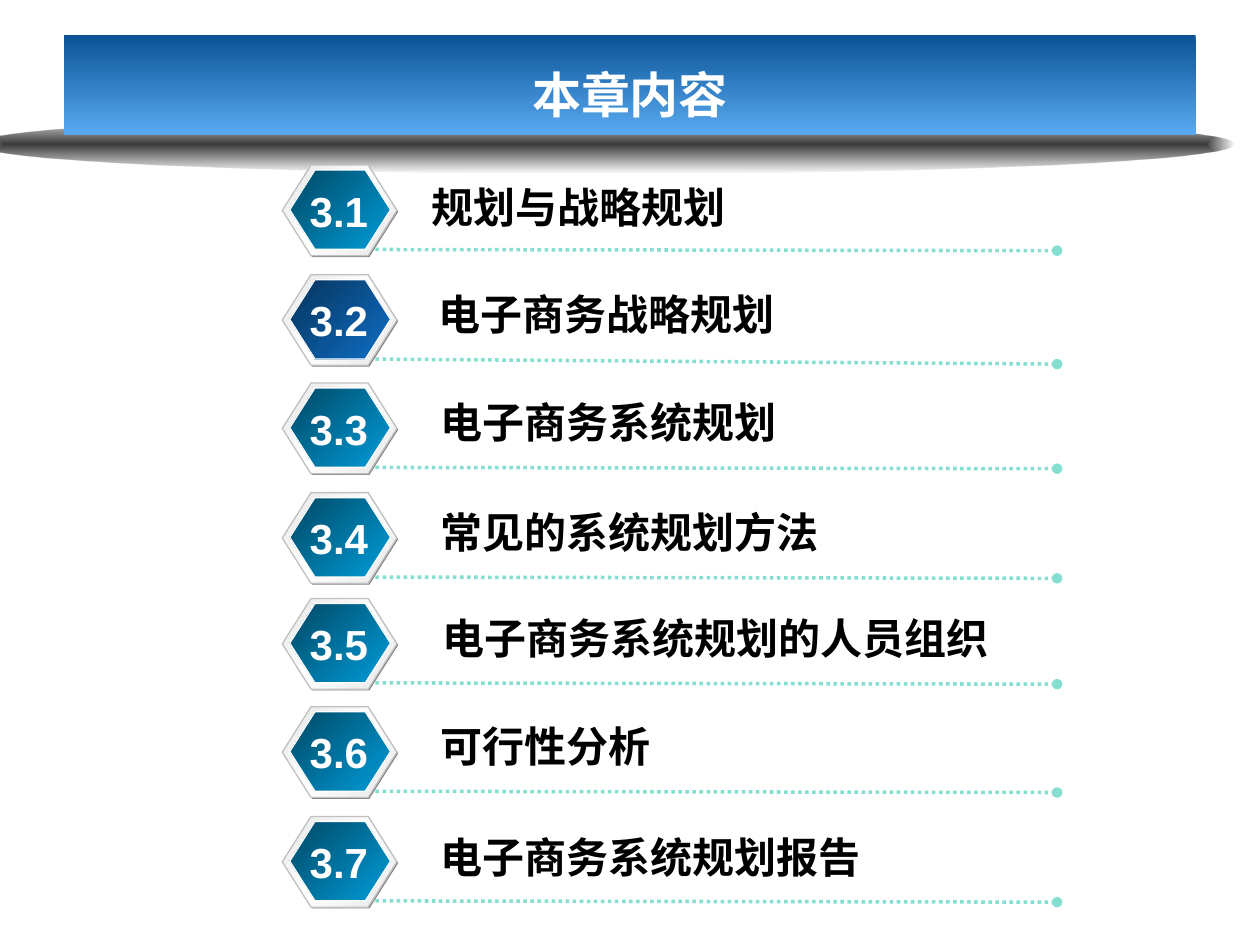
from lxml import etree
from pptx import Presentation
from pptx import util as u
from pptx.dml import color
from pptx.enum import shapes, text
from pptx.oxml import ns

Inches = u.Inches

COLOURS = {
    "white": "FFFFFF", "black": "000000", "shade": "808080",
    "rim": "C0C0C0", "rim_fill": "E6E6E6", "rule": "85DFD0",
    "banner_dark": "0B5395", "banner_light": "59AAF2",
    "teal": "009DD9", "teal_dark": "004864",
    "blue": "0F6FC6", "blue_dark": "06335B",
}
TEAL = [(0, "teal"), (100, "teal_dark")]
BLUE = [(0, "blue"), (100, "blue_dark")]
RIM = [(0, "rim_fill"), (50, "white"), (100, "rim_fill")]

# number, title, top, title left, title drop, rule slope, badge gradient
SECTIONS = [
    ("3.1", "规划与战略规划", 1.31, 3.33, 0.08, 0.01, TEAL),
    ("3.2", "电子商务战略规划", 2.18, 3.38, 0.06, 0.04, BLUE),
    ("3.3", "电子商务系统规划", 3.04, 3.4, 0.06, 0.01, TEAL),
    ("3.4", "常见的系统规划方法", 3.91, 3.4, 0.06, 0.01, TEAL),
    ("3.5", "电子商务系统规划的人员组织", 4.75, 3.41, 0.06, 0.01, TEAL),
    ("3.6", "可行性分析", 5.61, 3.4, 0.06, 0.01, TEAL),
    ("3.7", "电子商务系统规划报告", 6.48, 3.4, 0.07, 0.01, TEAL),
]


def rgb(name):
    return color.RGBColor.from_string(COLOURS[name])


def add_element(parent, tag, **attributes):
    child = etree.SubElement(parent, ns.qn(tag))
    for key, value in attributes.items():
        child.set(key, str(value))
    return child


def fill_gradient(shape, stops, angle=None):
    """Stops are (percent, colour[, opacity]); no angle means from the centre out."""
    shape.fill.background()
    empty = shape._element.spPr.find(ns.qn("a:noFill"))
    gradient = etree.Element(ns.qn("a:gradFill"), rotWithShape="1")
    stop_list = add_element(gradient, "a:gsLst")
    for position, name, *opacity in stops:
        stop = add_element(stop_list, "a:gs", pos=position * 1000)
        tint = add_element(stop, "a:srgbClr", val=COLOURS[name])
        for percent in opacity:
            add_element(tint, "a:alpha", val=percent * 1000)
    if angle is None:
        centre = add_element(gradient, "a:path", path="rect")
        add_element(centre, "a:fillToRect", l=50000, t=50000, r=50000, b=50000)
    else:
        add_element(gradient, "a:lin", ang=angle * 60000, scaled=1)
    empty.getparent().replace(empty, gradient)


def add_shape(page, kind, left, top, width, height, line=None):
    shape = page.shapes.add_shape(
        kind, Inches(left), Inches(top), Inches(width), Inches(height))
    shape.shadow.inherit = False
    if line:
        shape.line.color.rgb = rgb(line)
        shape.line.width = u.Pt(0.75)
    else:
        shape.line.fill.background()
    return shape


def add_hexagon(page, left, top, width, height, line=None):
    hexagon = add_shape(page, shapes.MSO_SHAPE.HEXAGON, left, top, width, height, line)
    hexagon.adjustments[0] = 0.317
    return hexagon


def write(frame, words, size, font, name, align):
    para = frame.paragraphs[0]
    para.text = words
    para.alignment = align
    para.font.size = u.Pt(size)
    para.font.name = font
    para.font.bold = True
    para.font.color.rgb = rgb(name)
    return para


def add_label(page, words, left, top, width, name, align):
    box = page.shapes.add_textbox(Inches(left), Inches(top), Inches(width), Inches(0.5))
    box.text_frame.word_wrap = False
    box.text_frame.auto_size = text.MSO_AUTO_SIZE.SHAPE_TO_FIT_TEXT
    write(box.text_frame, words, 24, "Arial", name, align)


def add_rule(page, left, top, right, bottom):
    """Dotted line that ends in a round dot."""
    rule = page.shapes.add_connector(
        shapes.MSO_CONNECTOR.STRAIGHT,
        Inches(left), Inches(top), Inches(right), Inches(bottom))
    rule.line.color.rgb = rgb("rule")
    rule.line.width = u.Pt(2)
    stroke = rule.line._get_or_add_ln()
    add_element(stroke, "a:prstDash", val="sysDot")
    add_element(stroke, "a:tailEnd", type="oval")
    add_element(rule._element.spPr, "a:effectLst")


def add_banner(page, left, top, width, height, title):
    shadow = add_shape(page, shapes.MSO_SHAPE.OVAL, left - 0.71, top + 0.63, 10, 0.47)
    fill_gradient(shadow, [(0, "black", 77), (100, "black", 0)])
    banner = add_shape(page, shapes.MSO_SHAPE.RECTANGLE, left, top, width, height)
    fill_gradient(banner, [(0, "banner_dark"), (100, "banner_light")], 90)
    frame = banner.text_frame
    frame.margin_left = frame.margin_right = Inches(0.31)
    frame.margin_top = frame.margin_bottom = Inches(0.2)
    frame.vertical_anchor = text.MSO_ANCHOR.MIDDLE
    para = write(frame, title, 28, "Vollkorn", "white", text.PP_ALIGN.CENTER)
    para.line_spacing = 1.3


def add_badge(page, left, top, number, gradient):
    shade = add_hexagon(page, left + 0.01, top + 0.01, 0.91, 0.72)
    shade.fill.solid()
    shade.fill.fore_color.rgb = rgb("shade")
    rim = add_hexagon(page, left, top, 0.91, 0.72, "rim")
    fill_gradient(rim, RIM, 225)
    core = add_hexagon(page, left + 0.06, top + 0.04, 0.8, 0.63, "white")
    fill_gradient(core, gradient, 225)
    add_label(page, number, left + 0.12, top + 0.11, 0.66, "white", text.PP_ALIGN.CENTER)


def add_section(page, left, top, number, title, title_left, drop, slope, gradient):
    add_badge(page, left, top, number, gradient)
    add_rule(page, left + 0.74, top + 0.67, left + 6.15, top + 0.67 + slope)
    title_width = len(title) * 24 / 72 + 0.2
    add_label(page, title, title_left, top + drop, title_width, "black", text.PP_ALIGN.LEFT)


def main():
    deck = Presentation()
    deck.slide_width, deck.slide_height = Inches(10), Inches(7.5)
    page = deck.slides.add_slide(deck.slide_layouts[6])
    add_banner(page, 0.51, 0.28, 8.98, 0.79, "本章内容")
    for number, title, top, title_left, drop, slope, gradient in SECTIONS:
        add_section(page, 2.24, top, number, title, title_left, drop, slope, gradient)
    deck.save("out.pptx")


if __name__ == "__main__":
    main()
